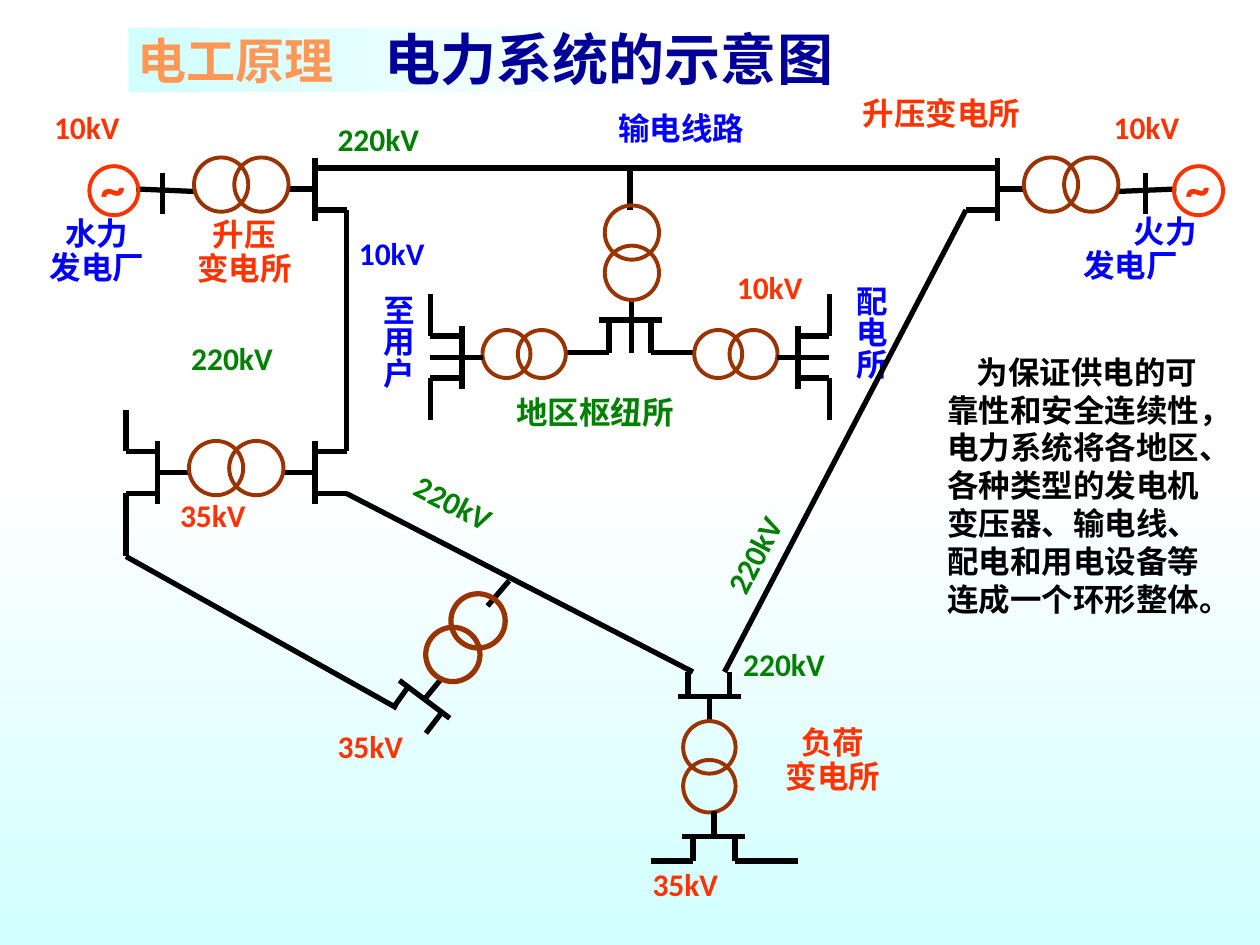
import pptx
import pptx.util
import pptx.dml.color
import pptx.enum.shapes
import pptx.enum.text
import pptx.oxml.ns
import lxml.etree

Pt = pptx.util.Pt
RGB = pptx.dml.color.RGBColor
ALIGN = pptx.enum.text.PP_ALIGN
MID = pptx.enum.text.MSO_ANCHOR.MIDDLE
FIT = pptx.enum.text.MSO_AUTO_SIZE.SHAPE_TO_FIT_TEXT
SHAPE = pptx.enum.shapes.MSO_SHAPE
STRAIGHT = pptx.enum.shapes.MSO_CONNECTOR.STRAIGHT

WHITE = RGB(0xFF, 0xFF, 0xFF)
CYAN = RGB(0xD2, 0xFF, 0xFF)
NAVY = RGB(0x00, 0x00, 0x99)
BLUE = RGB(0x00, 0x00, 0xFF)
GREEN = RGB(0x00, 0x80, 0x00)
RED = RGB(0xFF, 0x33, 0x00)
BROWN = RGB(0x99, 0x33, 0x00)
PEACH = RGB(0xFF, 0x98, 0x56)
BLACK = RGB(0x00, 0x00, 0x00)


class Sheet:
    font = "Calibri"
    size = 18
    heavy = 3
    thin = 2.25

    def __init__(self, slide):
        self.slide = slide
        self.shapes = slide.shapes

    def blend(self, fill, angle, stops):
        fill.gradient()
        fill.gradient_angle = angle
        for stop, (place, color) in zip(fill.gradient_stops, stops):
            stop.position = place
            stop.color.rgb = color

    def style(self, frame, color, size=None, font=None, align=None, space=None):
        for para in frame.paragraphs:
            para.alignment = align
            para.line_spacing = space
            for run in para.runs:
                run.font.name = font or self.font
                run.font.size = Pt(size or self.size)
                run.font.bold = True
                run.font.color.rgb = color

    def title(self, text, x, y, w, h):
        shape = self.shapes.title
        shape.left, shape.top, shape.width, shape.height = Pt(x), Pt(y), Pt(w), Pt(h)
        shape.text_frame.text = text
        shape.text_frame.vertical_anchor = MID
        self.style(shape.text_frame, NAVY, 32, align=ALIGN.CENTER)

    def band(self, x, y, w, h):
        shape = self.shapes.add_shape(SHAPE.RECTANGLE, Pt(x), Pt(y), Pt(w), Pt(h))
        shape.shadow.inherit = False
        shape.line.fill.background()
        self.blend(shape.fill, 0, [(0, CYAN), (0.5, WHITE)])
        self.shapes.title.element.addprevious(shape.element)

    def label(self, text, x, y, w, h, color, turn=0, wrap=False, **look):
        box = self.shapes.add_textbox(Pt(x), Pt(y), Pt(w), Pt(h))
        box.rotation = turn
        frame = box.text_frame
        frame.word_wrap = wrap
        frame.auto_size = FIT
        frame.text = text
        self.style(frame, color, **look)
        return frame

    def volt(self, text, x, y, color, turn=0):
        self.label(text, x, y, 81.4 if text == "220kV" else 69, 36, color, turn)

    def pair(self, text, x, y, color, w=86.4, wrap=False):
        return self.label(text, x, y, w, 59, color, wrap=wrap,
                          align=ALIGN.CENTER, space=0.9)

    def column(self, text, x, y):
        frame = self.label(text, x, y, 43.2, 78.5, BLUE)
        frame._txBody.bodyPr.set("vert", "eaVert")

    def ring(self, x, y, size, color=BROWN, width=None):
        shape = self.shapes.add_shape(SHAPE.OVAL, Pt(x - size / 2), Pt(y - size / 2),
                                      Pt(size), Pt(size))
        shape.shadow.inherit = False
        shape.fill.background()
        shape.line.color.rgb = color
        shape.line.width = Pt(width or self.thin)

    def wire(self, *dots):
        for (x, y), (u, v) in zip(dots, dots[1:]):
            line = self.shapes.add_connector(STRAIGHT, Pt(x), Pt(y), Pt(u), Pt(v))
            line.line.color.rgb = BLACK
            line.line.width = Pt(self.heavy)
            lxml.etree.SubElement(line.element.spPr, pptx.oxml.ns.qn("a:effectLst"))


def texts(sheet):
    sheet.label("电工原理", 70.6, 13.7, 128.2, 41, PEACH, size=28,
                font="Times New Roman", align=ALIGN.CENTER)
    for text, x, y, color in [
        ("220kV", 102.2, 190, GREEN), ("220kV", 185.8, 64.8, GREEN),
        ("220kV", 417.6, 365, GREEN), ("10kV", 198, 130.3, BLUE),
        ("10kV", 414, 149.8, RED), ("10kV", 629.3, 58.3, RED),
        ("10kV", 23.8, 58.3, RED), ("35kV", 185.8, 411.8, RED),
        ("35kV", 95.8, 280, RED), ("35kV", 365.8, 491, RED),
    ]:
        sheet.volt(text, x, y, color)
    sheet.volt("220kV", 226, 277.2, GREEN, 27.6)
    sheet.volt("220kV", 398.2, 291.6, GREEN, 297.7)
    sheet.label("升压变电所", 486, 52.6, 167.8, 33, RED, wrap=True, space=0.9)
    sheet.label("地区枢纽所", 288, 221, 135.4, 36, GREEN)
    sheet.label("输电线路", 346.3, 59, 110.9, 36, BLUE)
    sheet.column("至用户", 198.7, 161.3)
    sheet.column("配电所", 468.7, 156.2)
    sheet.pair("水力\n发电厂", 12.2, 121, BLUE)
    sheet.pair("升压\n变电所", 96.5, 121.7, RED)
    sheet.pair("负荷\n变电所", 432.7, 411.8, RED)
    frame = sheet.pair("火力\n发电厂", 612, 120.2, BLUE, 108, True)
    frame.paragraphs[1].alignment = ALIGN.LEFT
    frame = sheet.label(
        "为保证供电的可靠性和安全连续性，电力系统将各地区、各种类型的发电机"
        "变压器、输电线、配电和用电设备等连成一个环形整体。",
        534.2, 198, 174.2, 294.5, BLACK, wrap=True)
    frame.paragraphs[0]._p.get_or_add_pPr().set("indent", str(Pt(17)))


def plants(sheet):
    for side, bus, bar, wave in [(1, 180, 92.9, 50.4), (-1, 570, 654.5, 670.3)]:
        def at(gap):
            return bus + side * gap

        sheet.wire((bus, 90), (bus, 126))
        sheet.wire((bus, 120), (at(18), 120))
        sheet.wire((at(-15), 108), (bus, 108))
        sheet.wire((at(-102.2), 108), (at(-69.1), 109.4))
        sheet.wire((bar, 98.6), (bar, 122.4))
        for gap in (-53.6, -30.6):
            sheet.ring(at(gap), 105.5, 31)
        sheet.ring(at(-114.9), 109, 28, RED)
        sheet.label("~", wave, 86.4, 36, 41, RED, wrap=True, size=28)
    sheet.wire((180, 96), (570, 96))
    sheet.wire((552, 120), (414, 384))


def hub(sheet):
    sheet.wire((360, 96), (360, 120))
    sheet.wire((342, 182.9), (378, 182.9))
    sheet.wire((360.7, 171.4), (360.7, 201.6))
    for y in (132.9, 155.9):
        sheet.ring(361.1, y, 31)
    for side in (1, -1):
        def at(gap):
            return 360 + side * gap

        sheet.wire((at(12), 183.6), (at(12), 201.6), (at(36), 201.6))
        for gap in (50.4, 70.6):
            sheet.ring(at(gap), 202.3, 27.4)
        sheet.wire((at(96), 186.5), (at(96), 222.5))
        sheet.wire((at(84), 204.5), (at(114), 204.5))
        for tap, end in [(192, 168), (216, 240)]:
            sheet.wire((at(96), tap), (at(114), tap), (at(114), end))


def west(sheet):
    sheet.wire((198, 120), (198, 258), (180, 258))
    sheet.wire((180, 282), (198, 282), (396, 384))
    sheet.wire((90, 258), (72, 258), (72, 234))
    sheet.wire((90, 282), (72, 282), (72, 318), (226.8, 404.6))
    for bus, lead in [(90, 108), (180, 162)]:
        sheet.wire((bus, 252), (bus, 288))
        sheet.wire((bus, 270), (lead, 270))
    for x in (123.5, 146.5):
        sheet.ring(x, 267.5, 31)


def slant(sheet):
    for ends in [
        ((290.9, 331.9), (278.6, 346.3)), ((252, 388.1), (242.6, 399.6)),
        ((228.2, 388.8), (257, 410.4)), ((252.7, 406.8), (243.4, 419)),
        ((233.3, 392.4), (224.6, 404.6)),
    ]:
        sheet.wire(*ends)
    for x, y in [(258.8, 374), (273.2, 354.8)]:
        sheet.ring(x, y, 31, width=3)


def load(sheet):
    sheet.wire((387.4, 398.2), (423.4, 398.2))
    sheet.wire((405.4, 398.2), (405.4, 412.6))
    for x in (393.1, 416.9):
        sheet.wire((x, 398.2), (x, 383.8))
    for y in (427.1, 449.3):
        sheet.ring(405.4, y, 30)
    sheet.wire((408, 463.7), (408, 478))
    sheet.wire((390, 478), (426, 478))
    for x, end in [(396, 372), (420, 456)]:
        sheet.wire((x, 478), (x, 492), (end, 492))


def main():
    deck = pptx.Presentation()
    deck.slide_width, deck.slide_height = Pt(720), Pt(540)
    sheet = Sheet(deck.slides.add_slide(deck.slide_layouts[5]))
    sheet.blend(sheet.slide.background.fill, 270, [(0.5, WHITE), (1, CYAN)])
    sheet.title("电力系统的示意图", 162, 12.2, 372.2, 41.8)
    sheet.band(73.4, 15.8, 615.6, 36.7)
    for draw in (texts, hub, west, slant, load, plants):
        draw(sheet)
    deck.save("out.pptx")


if __name__ == "__main__":
    main()
